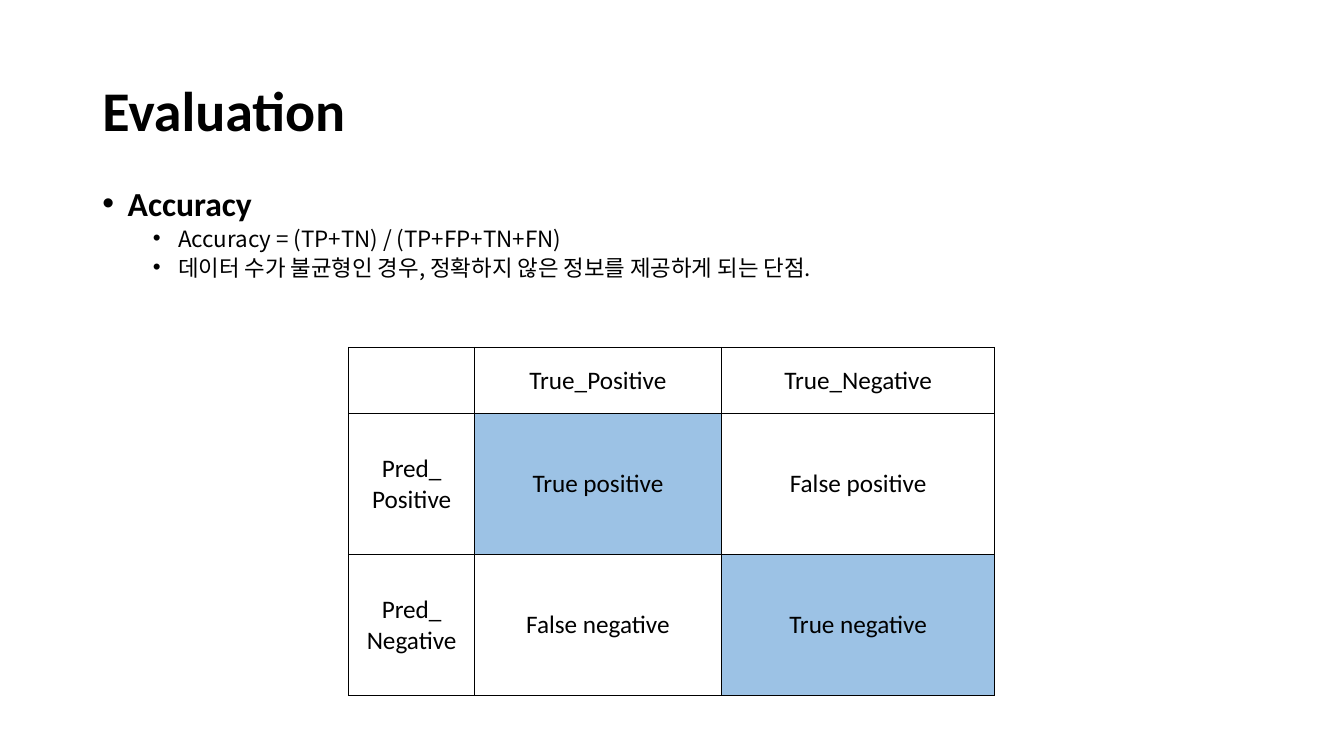
from lxml.etree import SubElement as Sub
from pptx import Presentation as Deck
from pptx.dml.color import RGBColor as Rgb
from pptx.enum.text import MSO_ANCHOR as Anchor, MSO_AUTO_SIZE as Fit, PP_ALIGN as Align
from pptx.oxml.ns import qn
from pptx.util import Pt

HUES = {"ink": "000000", "paper": "FFFFFF", "hit": "9CC2E5"}
LATIN, HANGUL = "Calibri", "Noto Sans CJK KR"


def write(para, text, size=18, font=LATIN, bold=False, align=Align.LEFT, lead=1.0, gap=0):
    """Fill a paragraph with formatted text."""
    para.text = text
    para.alignment, para.line_spacing = align, lead
    para.space_before, para.space_after = Pt(gap), Pt(0)
    for run in para.runs:
        face = run.font
        face.size, face.name, face.bold = Pt(size), font, bold
        face.color.rgb = Rgb.from_string(HUES["ink"])
        Sub(run._r.get_or_add_rPr(), qn("a:ea"), typeface=font)


class Page:
    """One slide and the methods that draw on it."""

    def __init__(self, deck):
        """Add a title and body slide."""
        self.slide = deck.slides.add_slide(deck.slide_layouts[1])

    def place(self, shape, box, anchor):
        """Move a placeholder and return its text frame."""
        shape.left, shape.top, shape.width, shape.height = map(Pt, box)
        frame = shape.text_frame
        frame.word_wrap, frame.auto_size = True, Fit.NONE
        frame.vertical_anchor = anchor
        return frame

    def title(self, text, box):
        """Write the slide title."""
        frame = self.place(self.slide.shapes.title, box, Anchor.MIDDLE)
        write(frame.paragraphs[0], text, size=40, bold=True, lead=0.9)

    def items(self, rows, box):
        """Write a bulleted list of (level, text) rows."""
        frame = self.place(self.slide.placeholders[1], box, Anchor.TOP)
        for i, (level, text) in enumerate(rows):
            para = frame.add_paragraph() if i else frame.paragraphs[0]
            if level:
                write(para, text, size=16, font=HANGUL, lead=0.82, gap=5)
            else:
                write(para, text, size=24, bold=True)
            para.level = level
            props = para._p.get_or_add_pPr()
            props.set("marL", str(Pt(18 + 36 * level)))
            props.set("indent", str(Pt(-18)))
            tint = Sub(props, qn("a:buClr"))
            Sub(tint, qn("a:srgbClr"), val=HUES["ink"])
            Sub(props, qn("a:buFont"), typeface="Arial")
            Sub(props, qn("a:buChar"), char="•")

    def border(self, cell):
        """Draw a thin line on all four sides of a cell."""
        props = cell._tc.get_or_add_tcPr()
        for i, side in enumerate(("lnL", "lnR", "lnT", "lnB")):
            line = props.makeelement(qn("a:" + side), {"w": str(Pt(1))})
            fill = Sub(line, qn("a:solidFill"))
            Sub(fill, qn("a:srgbClr"), val=HUES["ink"])
            props.insert(i, line)

    def matrix(self, rows, left, top, wides, highs):
        """Add a table with its diagonal cells shaded."""
        size = map(Pt, (left, top, sum(wides), sum(highs)))
        grid = self.slide.shapes.add_table(len(rows), len(wides), *size).table
        grid.first_row = grid.horz_banding = False
        for col, wide in zip(grid.columns, wides):
            col.width = Pt(wide)
        for r, (row, high) in enumerate(zip(rows, highs)):
            grid.rows[r].height = Pt(high)
            for c, text in enumerate(row):
                cell = grid.cell(r, c)
                cell.vertical_anchor = Anchor.MIDDLE
                cell.fill.solid()
                hue = "hit" if r == c > 0 else "paper"
                cell.fill.fore_color.rgb = Rgb.from_string(HUES[hue])
                self.border(cell)
                if text:
                    write(cell.text_frame.paragraphs[0], text, align=Align.CENTER)


def main():
    """Build and save the slide."""
    deck = Deck()
    deck.slide_width, deck.slide_height = Pt(960), Pt(540)
    page = Page(deck)
    page.title("Evaluation", (66, 28.75, 828, 104.4))
    page.items([
        (0, "Accuracy"),
        (1, "Accuracy = (TP+TN) / (TP+FP+TN+FN)"),
        (1, "데이터 수가 불균형인 경우, 정확하지 않은 정보를 제공하게 되는 단점."),
    ], (66, 126.7, 828, 342.7))
    page.matrix([
        ("", "True_Positive", "True_Negative"),
        ("Pred_\nPositive", "True positive", "False positive"),
        ("Pred_\nNegative", "False negative", "True negative"),
    ], 249.2, 248.2, (89.7, 176.5, 195.2), (47.2, 100.8, 100.8))
    deck.save("out.pptx")


if __name__ == "__main__":
    main()
